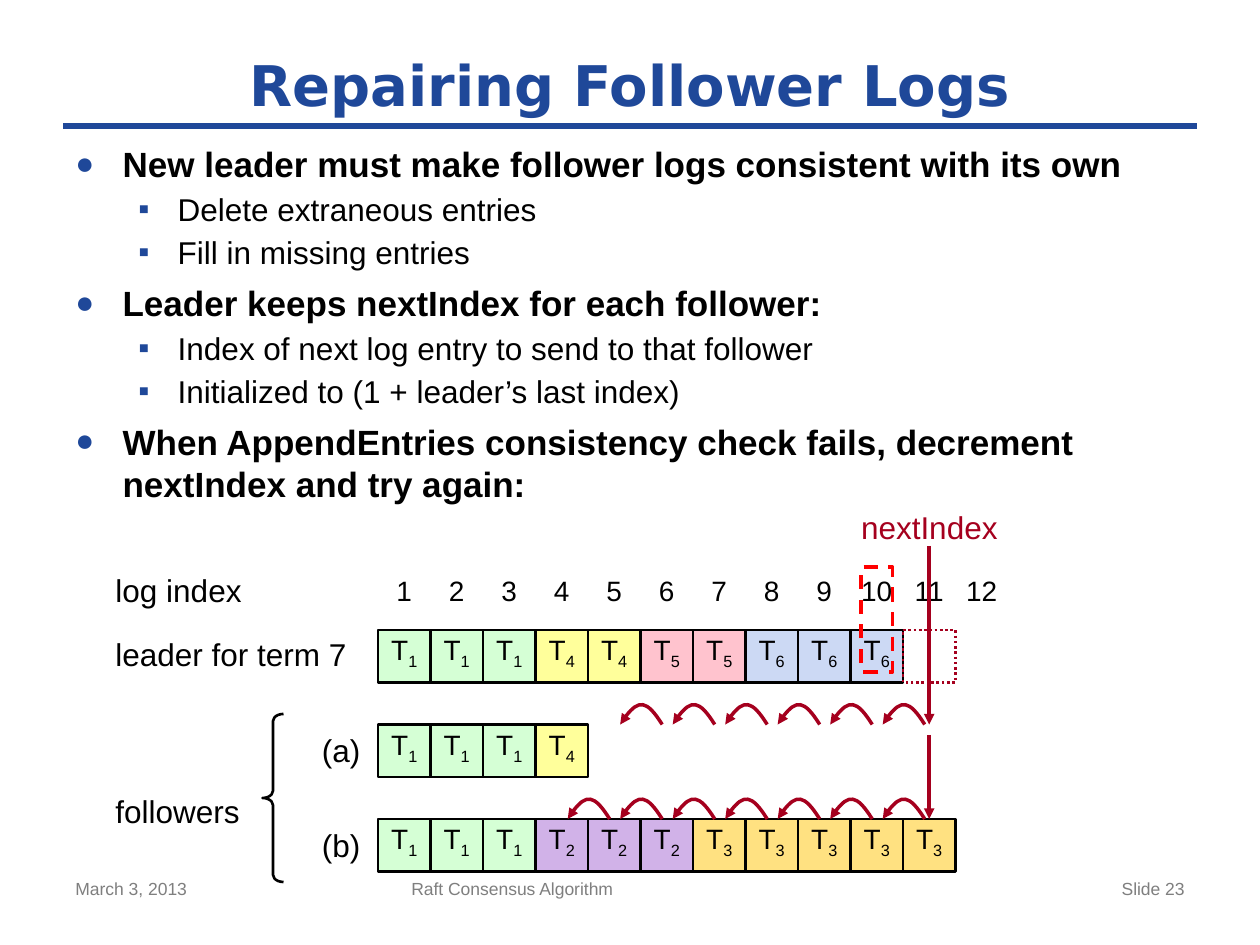
from lxml.etree import SubElement
from pptx import Presentation
from pptx.dml.color import RGBColor
from pptx.enum.dml import MSO_LINE
from pptx.enum.shapes import MSO_CONNECTOR, MSO_SHAPE
from pptx.enum.text import MSO_ANCHOR, PP_ALIGN
from pptx.oxml.ns import qn
from pptx.util import Pt

COLORS = {
    "blue": "1F4899", "black": "000000", "gray": "7F7F7F", "crimson": "A5001E", "red": "FF0000",
}
TERM_COLORS = {
    "1": "D5FFD5", "2": "D1B2E8", "3": "FFE181", "4": "FFFF9B", "5": "FFC3CE", "6": "CCD9F4",
}
CELL = 30
LOG_LEFT = 216
LOGS = {360: "1114455666", 414: "1114", 468: "11122233333"}
INSETS = ("margin_left", "margin_top", "margin_right", "margin_bottom")


def write(shape, text, size, color="black", inset=True, anchor=MSO_ANCHOR.TOP, wrap=True,
          font_name="Arial", bold=False, **paragraph_format):
    """Fill the shape with one paragraph per line of text and return the paragraphs."""
    frame = shape.text_frame
    frame.text = text
    frame_format = {"word_wrap": wrap, "vertical_anchor": anchor}
    if not inset:
        frame_format.update(dict.fromkeys(INSETS, 0))
    for name, value in frame_format.items():
        setattr(frame, name, value)
    for paragraph in frame.paragraphs:
        for name, value in paragraph_format.items():
            setattr(paragraph, name, value)
        for run in paragraph.runs:
            for name, value in {"name": font_name, "size": Pt(size), "bold": bold}.items():
                setattr(run.font, name, value)
            run.font.color.rgb = RGBColor.from_string(COLORS[color])
    return frame.paragraphs


def outline(shape, color, width, dash=None, arrow=False):
    """Draw the line of a shape or connector, without shadow."""
    shape.line.color.rgb = RGBColor.from_string(COLORS[color])
    shape.line.width = Pt(width)
    if dash:
        shape.line.dash_style = dash
    if arrow:
        SubElement(shape.line._get_or_add_ln(), qn("a:tailEnd"), type="triangle")
    SubElement(shape._element.spPr, qn("a:effectLst"))


presentation = Presentation()
presentation.slide_width, presentation.slide_height = Pt(720), Pt(540)
slide = presentation.slides.add_slide(presentation.slide_layouts[6])
shapes = slide.shapes

# Title, rule and footer
rule = shapes.add_connector(MSO_CONNECTOR.STRAIGHT, Pt(36), Pt(72), Pt(684), Pt(72))
outline(rule, "blue", 4)
title = shapes.add_textbox(Pt(36), Pt(24), Pt(648), Pt(48))
write(title, "Repairing Follower Logs", 32, "blue", anchor=MSO_ANCHOR.MIDDLE,
      font_name="DejaVu Sans", bold=True, alignment=PP_ALIGN.CENTER)
for left, width, text, alignment in (
    (36, 168, "March 3, 2013", PP_ALIGN.LEFT),
    (228, 270, "Raft Consensus Algorithm", PP_ALIGN.LEFT),
    (516, 168, "Slide 23", PP_ALIGN.RIGHT),
):
    footer = shapes.add_textbox(Pt(left), Pt(498), Pt(width), Pt(31))
    write(footer, text, 10, "gray", alignment=alignment)

# Bullet list: level, space before, text
bullets = [
    (0, 12, "New leader must make follower logs consistent with its own"),
    (1, 3, "Delete extraneous entries"),
    (1, 3, "Fill in missing entries"),
    (0, 6, "Leader keeps nextIndex for each follower:"),
    (1, 3, "Index of next log entry to send to that follower"),
    (1, 3, "Initialized to (1 + leader’s last index)"),
    (0, 6, "When AppendEntries consistency check fails, decrement nextIndex and try again:"),
]
# Bullet sign, its size in percent, left margin, hanging indent, text size, bold
levels = [("●", 90, 27, 27, 20, True), ("▪", 100, 58.5, 22.5, 18, False)]
body = shapes.add_textbox(Pt(36), Pt(78), Pt(648), Pt(240))
paragraphs = write(body, "\n".join(text for _, _, text in bullets), 20)
for paragraph, (level, space_before, _) in zip(paragraphs, bullets):
    sign, percent, margin, hanging, size, bold = levels[level]
    paragraph.level = level
    paragraph.space_before = Pt(space_before)
    paragraph.runs[0].font.size = Pt(size)
    paragraph.runs[0].font.bold = bold
    properties = paragraph._p.get_or_add_pPr()
    properties.set("marL", str(Pt(margin)))
    properties.set("indent", str(-Pt(hanging)))
    bullet_color = SubElement(properties, qn("a:buClr"))
    SubElement(bullet_color, qn("a:srgbClr"), val=COLORS["blue"])
    SubElement(properties, qn("a:buSzPct"), val=str(percent * 1000))
    SubElement(properties, qn("a:buFont"), typeface="Arial")
    SubElement(properties, qn("a:buChar"), char=sign)

# Log entries, each a T with its term as subscript
for top, terms in LOGS.items():
    for column, term in enumerate(terms):
        entry = shapes.add_shape(MSO_SHAPE.RECTANGLE, Pt(LOG_LEFT + column * CELL), Pt(top),
                                 Pt(CELL), Pt(CELL))
        entry.fill.solid()
        entry.fill.fore_color.rgb = RGBColor.from_string(TERM_COLORS[term])
        outline(entry, "black", 1.5)
        paragraph = write(entry, "T", 16, inset=False, anchor=MSO_ANCHOR.MIDDLE,
                          alignment=PP_ALIGN.CENTER, line_spacing=Pt(17))[0]
        subscript = paragraph.add_run()
        subscript.text = term
        subscript.font.name, subscript.font.size = "Arial", Pt(16)
        subscript.font.color.rgb = RGBColor.from_string(COLORS["black"])
        subscript.font._element.set("baseline", "-25000")

for index in range(1, 13):
    width = CELL if index < 10 else 42
    center = LOG_LEFT + (index - 0.5) * CELL
    number = shapes.add_textbox(Pt(center - width / 2), Pt(324), Pt(width), Pt(26.6))
    write(number, str(index), 16, alignment=PP_ALIGN.CENTER)

# Row labels; a line spacing of None keeps single spacing
for left, top, width, height, text, color, spacing, alignment in (
    (66, 326.4, 90, 21.6, "log index", "black", None, PP_ALIGN.LEFT),
    (66, 365.5, 144, 19, "leader for term 7", "black", Pt(19), PP_ALIGN.LEFT),
    (66, 455, 72, 19, "followers", "black", Pt(19), PP_ALIGN.LEFT),
    (180, 418, 30, 21.6, "(a)", "black", None, PP_ALIGN.CENTER),
    (180, 472, 30, 21.6, "(b)", "black", None, PP_ALIGN.CENTER),
    (492, 293, 78.5, 19, "nextIndex", "crimson", Pt(19), PP_ALIGN.LEFT),
):
    label = shapes.add_textbox(Pt(left), Pt(top), Pt(width), Pt(height))
    write(label, text, 18, color, inset=False, wrap=width > 78 or width == CELL,
          line_spacing=spacing, alignment=alignment)

# Unfilled marks: followers brace, next free entry, highlighted index
for kind, left, top, width, height, color, weight, dash in (
    (MSO_SHAPE.LEFT_BRACE, 150, 408, 12, 96, "black", 1.5, None),
    (MSO_SHAPE.RECTANGLE, 516, 360, CELL, CELL, "crimson", 1.5, MSO_LINE.ROUND_DOT),
    (MSO_SHAPE.RECTANGLE, 492, 324, 18, 60, "red", 2, MSO_LINE.DASH),
):
    mark = shapes.add_shape(kind, Pt(left), Pt(top), Pt(width), Pt(height))
    mark.fill.background()
    outline(mark, color, weight, dash)
    if kind == MSO_SHAPE.LEFT_BRACE:
        mark.adjustments[0] = 0.34

# Backward hops of nextIndex: the corner points become the controls of one cubic curve
for base, hops in ((414, 6), (468, 7)):
    for hop in range(hops):
        left = 504.4 - hop * CELL
        top = base - 10.8
        builder = shapes.build_freeform(Pt(left + 24), Pt(base))
        builder.add_line_segments(
            [(Pt(left + 15), Pt(top)), (Pt(left + 9), Pt(top)), (Pt(left), Pt(base))], close=False)
        arc = builder.convert_to_shape()
        outline_path = next(arc._element.iter(qn("a:path")))
        curve = SubElement(outline_path, qn("a:cubicBezTo"))
        for segment in outline_path.findall(qn("a:lnTo")):
            curve.append(segment[0])
            outline_path.remove(segment)
        for control in curve[:2]:
            control.set("y", str(-Pt(3.6)))
        arc.fill.background()
        outline(arc, "crimson", 2, arrow=True)

for start, end in ((312, 414), (420, 468)):
    pointer = shapes.add_connector(MSO_CONNECTOR.STRAIGHT, Pt(531), Pt(start), Pt(531), Pt(end))
    outline(pointer, "crimson", 2, arrow=True)

presentation.save("out.pptx")
